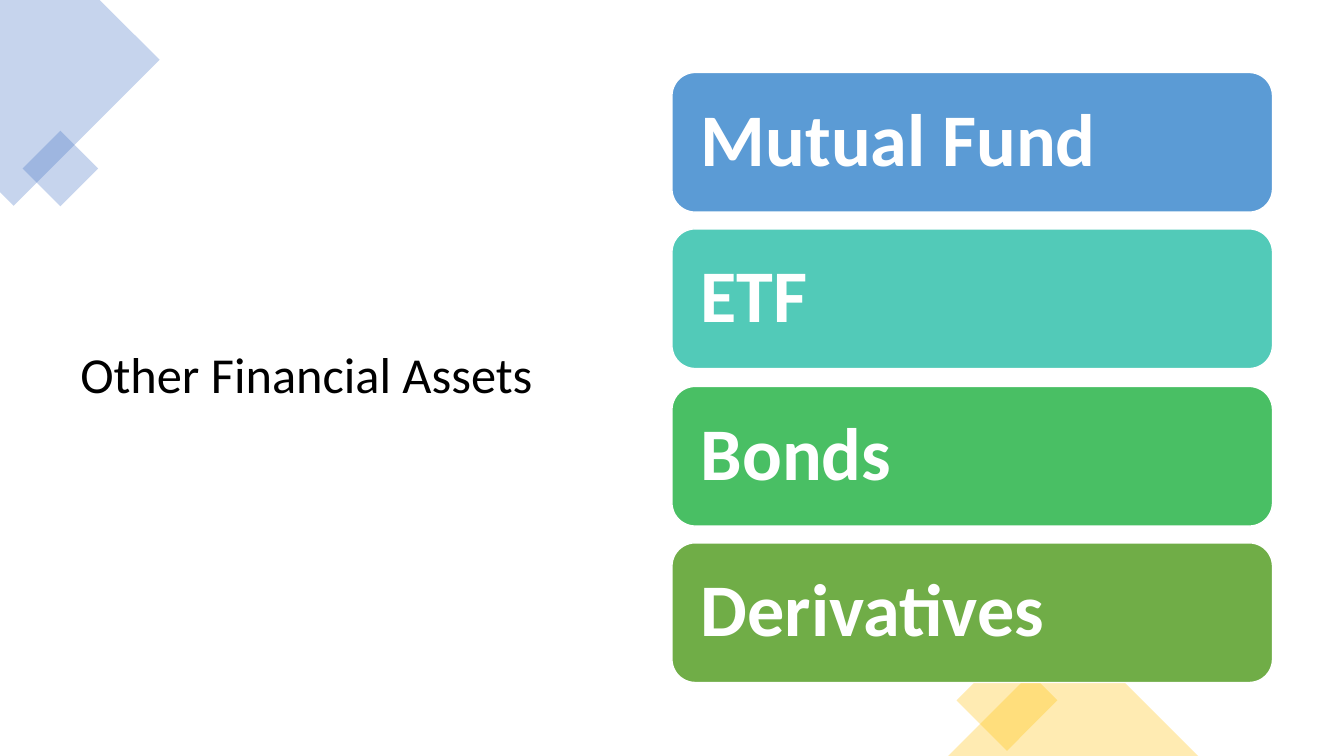
from dataclasses import dataclass

from pptx import Presentation
from pptx.dml.color import RGBColor
from pptx.enum.shapes import MSO_SHAPE as Shape
from pptx.enum.text import MSO_ANCHOR as Anchor, PP_ALIGN as Align
from pptx.oxml.ns import qn
from pptx.util import Pt
from lxml.etree import SubElement

PX = 9525  # EMU per px, 96 px to the inch
SLIDE_W, SLIDE_H = 1280, 720


@dataclass(frozen=True)
class Theme:
    font: str = "Calibri"
    title_size: int = 36
    card_size: int = 53
    ink: str = "000000"
    paper: str = "FFFFFF"
    blue: str = "4472C4"
    gold: str = "FFC000"
    accent_alpha: int = 30
    cards: tuple = ("5B9BD5", "52CAB8", "49BF64", "70AD47")


THEME = Theme()
ASSETS = ("Mutual Fund", "ETF", "Bonds", "Derivatives")
CARD_LEFT, CARD_W, CARD_H = 640, 572, 133
FIRST_TOP, LAST_TOP = 69, 517


def emu(*lengths):
    return [n * PX for n in lengths]


def fill_solid(s, color):
    s.shadow.inherit = False
    s.fill.solid()
    s.fill.fore_color.rgb = RGBColor.from_string(color)


def style_accent(s, color):
    """Give a corner decoration a see-through fill and no outline."""
    fill_solid(s, color)
    s.line.fill.background()
    clr = s.fill._xPr.find(qn("a:solidFill"))[0]
    SubElement(clr, qn("a:alpha"), val=str(THEME.accent_alpha * 1000))


def add_accent(slide, kind, left, top, width, height, color, rotation=0):
    s = slide.shapes.add_shape(kind, *emu(left, top, width, height))
    s.rotation = rotation
    style_accent(s, color)


def add_corner(slide, points, color):
    builder = slide.shapes.build_freeform(*points[0], scale=PX)
    builder.add_line_segments(points[1:], close=True)
    style_accent(builder.convert_to_shape(), color)


def set_text(s, text, size, color, bold=False):
    tf = s.text_frame
    tf.word_wrap = True
    tf.vertical_anchor = Anchor.MIDDLE
    p = tf.paragraphs[0]
    p.alignment = Align.LEFT
    p.line_spacing = 0.9
    r = p.add_run()
    r.text = text
    r.font.name = THEME.font
    r.font.size = Pt(size)
    r.font.bold = bold
    r.font.color.rgb = RGBColor.from_string(color)


def add_title(slide, text):
    s = slide.shapes.add_textbox(*emu(67, 67, 504, 585))
    set_text(s, text, THEME.title_size, THEME.ink)


def add_card(slide, top, text, color):
    s = slide.shapes.add_shape(Shape.ROUNDED_RECTANGLE,
                               *emu(CARD_LEFT, top, CARD_W, CARD_H))
    fill_solid(s, color)
    s.line.color.rgb = RGBColor.from_string(THEME.paper)
    s.line.width = Pt(1)
    s.text_frame.margin_left = s.text_frame.margin_right = 21 * PX
    set_text(s, text, THEME.card_size, THEME.paper, bold=True)


def main():
    prs = Presentation()
    prs.slide_width, prs.slide_height = emu(SLIDE_W, SLIDE_H)
    slide = prs.slides.add_slide(prs.slide_layouts[6])

    add_title(slide, "Other Financial Assets")
    add_corner(slide, [(0, 0), (95, 0), (152, 57), (13, 196), (0, 183)], THEME.blue)
    add_accent(slide, Shape.RECTANGLE, 32, 135, 51, 51, THEME.blue, rotation=45)
    add_accent(slide, Shape.RECTANGLE, 925, 633, 68, 68, THEME.gold, rotation=45)
    add_accent(slide, Shape.ISOSCELES_TRIANGLE, 903, 601, 238, 119, THEME.gold)

    step = (LAST_TOP - FIRST_TOP) / (len(ASSETS) - 1)
    for i, (asset, color) in enumerate(zip(ASSETS, THEME.cards)):
        add_card(slide, FIRST_TOP + round(i * step), asset, color)

    prs.save("out.pptx")


if __name__ == "__main__":
    main()
